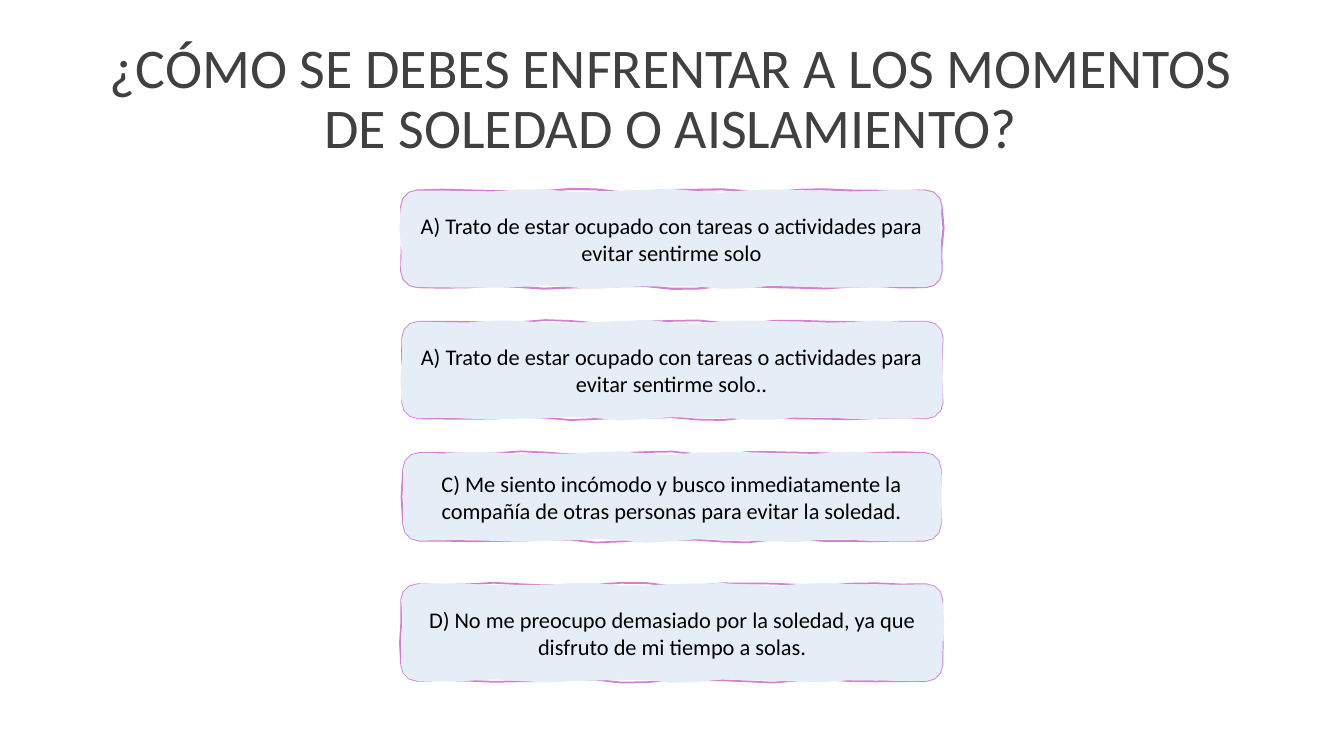
"""Builds a question slide with four hand-drawn answer boxes."""
from copy import deepcopy
from math import cos, hypot, pi, sin

from pptx import Presentation
from pptx.dml.color import RGBColor
from pptx.enum.text import MSO_ANCHOR, PP_ALIGN
from pptx.oxml.ns import qn
from pptx.util import Pt

TITLE = "¿CÓMO SE DEBES ENFRENTAR A LOS MOMENTOS DE SOLEDAD O AISLAMIENTO?"
ANSWERS = [
    ("A) Trato de estar ocupado con tareas o actividades para evitar sentirme solo", 286.6, 386, 69, 1.5),
    ("A) Trato de estar ocupado con tareas o actividades para evitar sentirme solo..", 287.3, 386, 69, 1.25),
    ("C) Me siento incómodo y busco inmediatamente la compañía de otras personas para evitar la soledad.",
     288, 384, 62.6, 1.25),
    ("D) No me preocupo demasiado por la soledad, ya que disfruto de mi tiempo a solas.", 286.6, 386.6, 69, 1.25),
]
FIRST_TOP, PITCH = 136.1, 93.75
RADIUS, WAVE_HEIGHT, WAVE_LENGTH = 11.5, 1.6, 90
EDGE_STEP, ARC_STEPS = 18, 3

FONT = "Calibri"
GREY = RGBColor(0x40, 0x40, 0x40)
BLACK = RGBColor(0, 0, 0)
PALE_BLUE = RGBColor(0xE5, 0xEE, 0xF7)
PINK = RGBColor(0xD6, 0x7F, 0xD2)
CENTER, MIDDLE = PP_ALIGN.CENTER, MSO_ANCHOR.MIDDLE


def write(sp, text, size, color, spacing=1.0):
    tf = sp.text_frame
    tf.word_wrap = True
    tf.vertical_anchor = MIDDLE
    p = tf.paragraphs[0]
    p.alignment = CENTER
    p.line_spacing = spacing
    r = p.add_run()
    r.text = text
    r.font.name = FONT
    r.font.size = Pt(size)
    r.font.color.rgb = color


def wavy_outline(x, y, w, h, phase):
    """Return the points of a rounded rectangle whose sides ripple."""
    left, right, top, bottom = x + RADIUS, x + w - RADIUS, y + RADIUS, y + h - RADIUS
    corners = [(left, top), (right, top), (right, bottom), (left, bottom)]
    points = []
    for i, (cx, cy) in enumerate(corners):
        start = pi + i * pi / 2
        for k in range(ARC_STEPS + 1):
            a = start + k / ARC_STEPS * pi / 2
            points.append((cx + RADIUS * cos(a), cy + RADIUS * sin(a)))
        nx, ny = cos(start + pi / 2), sin(start + pi / 2)
        ex, ey = corners[(i + 1) % 4]
        length = hypot(ex - cx, ey - cy)
        turns, steps = length / WAVE_LENGTH, round(length / EDGE_STEP)
        for k in range(1, steps):
            t = k / steps
            ripple = sin(2 * pi * turns * t + phase + i) + 0.5 * sin(3.4 * pi * turns * t + 2 * phase)
            out = RADIUS + WAVE_HEIGHT * sin(pi * t) ** 0.5 * ripple / 1.5
            points.append((cx + (ex - cx) * t + nx * out, cy + (ey - cy) * t + ny * out))
    return [(Pt(px), Pt(py)) for px, py in points]


def sketch_box(s, x, y, w, h, phase):
    """Add one freeform: a stroked outline under a separately rippled fill."""
    stroke, body = (wavy_outline(x, y, w, h, phase + shift) for shift in (0, 2.2))
    builder = s.shapes.build_freeform(*stroke[0])
    builder.add_line_segments(stroke[1:], close=True)
    builder.move_to(*body[0])
    builder.add_line_segments(body[1:], close=True)
    sp = builder.convert_to_shape()
    outline = sp.element.find(".//" + qn("a:path"))
    filled = deepcopy(outline)
    half = len(outline) // 2
    for node in list(outline)[half:]:
        outline.remove(node)
    for node in list(filled)[:half]:
        filled.remove(node)
    outline.set("fill", "none")
    filled.set("stroke", "0")
    outline.addnext(filled)
    return sp


def main():
    prs = Presentation()
    prs.slide_width, prs.slide_height = Pt(960), Pt(540)
    s = prs.slides.add_slide(prs.slide_layouts[6])
    title = s.shapes.add_textbox(Pt(65), Pt(19.5), Pt(828), Pt(104.4))
    write(title, TITLE, 40, GREY, 0.9)
    for i, (text, x, w, h, weight) in enumerate(ANSWERS):
        sp = sketch_box(s, x, FIRST_TOP + i * PITCH, w, h, 1.3 * i)
        sp.shadow.inherit = False
        sp.fill.solid()
        sp.fill.fore_color.rgb = PALE_BLUE
        sp.line.color.rgb = PINK
        sp.line.width = Pt(weight)
        write(sp, text, 16, BLACK)
    prs.save("out.pptx")


if __name__ == "__main__":
    main()
